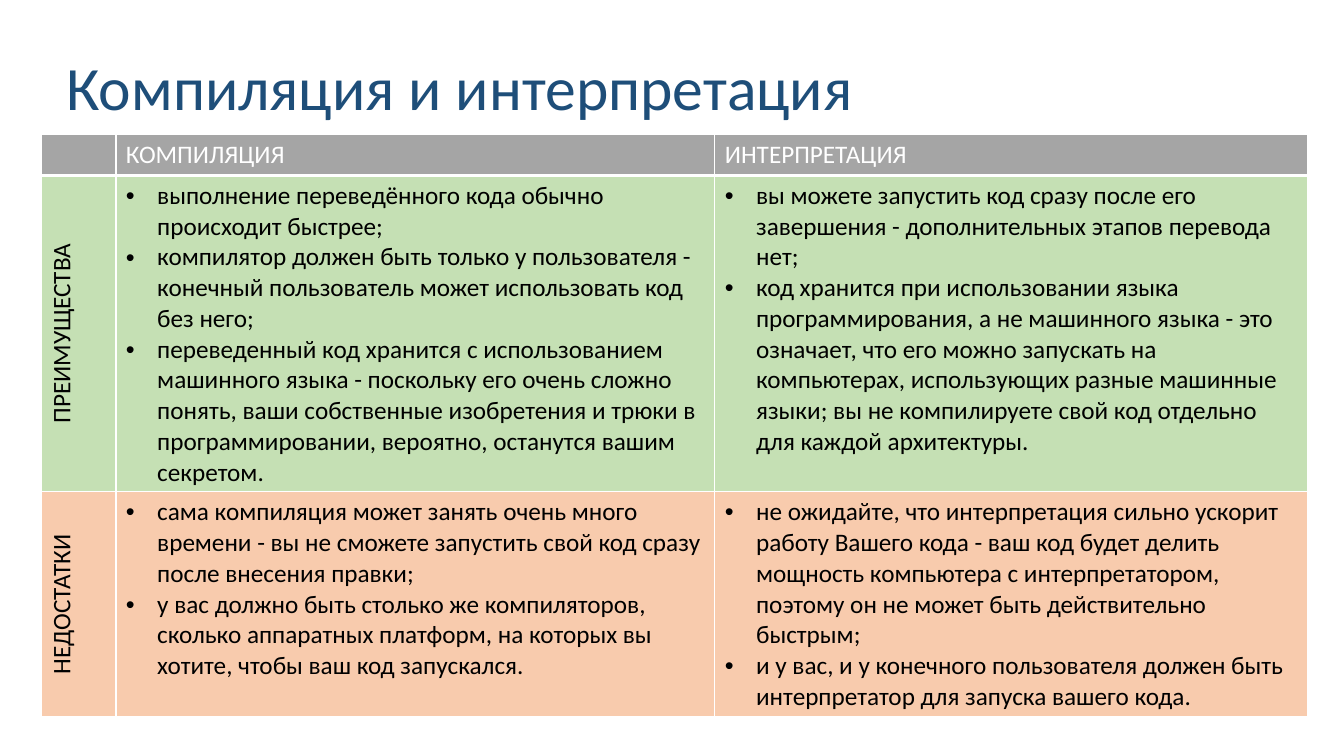
from pptx import Presentation
from pptx.dml.color import RGBColor as RGB
from pptx.enum.text import MSO_ANCHOR as Anchor, PP_ALIGN as Align
from pptx.oxml.ns import qn
from pptx.util import Inches, Pt
from lxml.etree import SubElement as Sub, Element

# Content
TITLE = "Компиляция и интерпретация"
HEADS = ["", "КОМПИЛЯЦИЯ", "ИНТЕРПРЕТАЦИЯ"]
ROWS = [
    ("ПРЕИМУЩЕСТВА", "pros", [
        ["выполнение переведённого кода обычно происходит быстрее;",
         "компилятор должен быть только у пользователя - конечный пользователь "
         "может использовать код без него;",
         "переведенный код хранится с использованием машинного языка - поскольку "
         "его очень сложно понять, ваши собственные изобретения и трюки в "
         "программировании, вероятно, останутся вашим секретом."],
        ["вы можете запустить код сразу после его завершения - дополнительных "
         "этапов перевода нет;",
         "код хранится при использовании языка программирования, а не машинного "
         "языка - это означает, что его можно запускать на компьютерах, "
         "использующих разные машинные языки; вы не компилируете свой код "
         "отдельно для каждой архитектуры."]]),
    ("НЕДОСТАТКИ", "cons", [
        ["сама компиляция может занять очень много времени - вы не сможете "
         "запустить свой код сразу после внесения правки;",
         "у вас должно быть столько же компиляторов, сколько аппаратных платформ, "
         "на которых вы хотите, чтобы ваш код запускался."],
        ["не ожидайте, что интерпретация сильно ускорит работу Вашего кода - ваш "
         "код будет делить мощность компьютера с интерпретатором, поэтому он не "
         "может быть действительно быстрым;",
         "и у вас, и у конечного пользователя должен быть интерпретатор для "
         "запуска вашего кода."]]),
]
COLORS = {"title": "1E4E79", "head": "A5A5A5", "pros": "C5E0B4",
          "cons": "F8CBAD", "white": "FFFFFF", "black": "000000"}
FONT = "Calibri"
COLS = [0.74, 5.94, 5.88]
HIGHS = [0.41, 3.14, 2.23]
INDENT = Inches(0.31)


def write(para, text, size, color):
    run = para.add_run()
    run.text = text
    run.font.name = FONT
    run.font.size = Pt(size)
    run.font.color.rgb = RGB.from_string(COLORS[color])


def bullet(para):
    props = para._p.get_or_add_pPr()
    props.set("marL", str(INDENT))
    props.set("indent", str(-INDENT))
    Sub(props, qn("a:buFont")).set("typeface", "Arial")
    Sub(props, qn("a:buChar")).set("char", "•")


def paint(cell, fill, base=1):
    cell.fill.solid()
    cell.fill.fore_color.rgb = RGB.from_string(COLORS[fill])
    props = cell._tc.get_or_add_tcPr()
    for i, (side, width) in enumerate(zip("LRTB", (1, 1, 1, base))):
        line = Element(qn("a:ln" + side), w=str(Pt(width)))
        solid = Sub(line, qn("a:solidFill"))
        Sub(solid, qn("a:srgbClr")).set("val", COLORS["white"])
        props.insert(i, line)


# Slide
deck = Presentation()
deck.slide_width, deck.slide_height = Inches(13.33), Inches(7.5)
slide = deck.slides.add_slide(deck.slide_layouts[6])

# Title
box = slide.shapes.add_textbox(Inches(0.56), Inches(0.17), Inches(12.24), Inches(1.45))
frame = box.text_frame
frame.word_wrap = True
frame.vertical_anchor = Anchor.MIDDLE
frame.paragraphs[0].line_spacing = 0.9
write(frame.paragraphs[0], TITLE, 44, "title")

# Table
table = slide.shapes.add_table(len(HIGHS), len(COLS), Inches(0.41), Inches(1.33),
                               Inches(sum(COLS)), Inches(sum(HIGHS))).table
table.first_row = table.horz_banding = False
for col, width in zip(table.columns, COLS):
    col.width = Inches(width)
for row, high in zip(table.rows, HIGHS):
    row.height = Inches(high)

# Header row
for c, head in enumerate(HEADS):
    cell = table.cell(0, c)
    paint(cell, "head", 3)
    if head:
        write(cell.text_frame.paragraphs[0], head, 18, "white")

# Body rows: turned label, then bulleted cells
for r, (label, fill, lists) in enumerate(ROWS, 1):
    side = table.cell(r, 0)
    paint(side, fill)
    side.vertical_anchor = Anchor.MIDDLE
    side._tc.get_or_add_tcPr().set("vert", "vert270")
    para = side.text_frame.paragraphs[0]
    para.alignment = Align.CENTER
    write(para, label, 18, "black")
    for c, points in enumerate(lists, 1):
        cell = table.cell(r, c)
        paint(cell, fill)
        for i, point in enumerate(points):
            frame = cell.text_frame
            para = frame.add_paragraph() if i else frame.paragraphs[0]
            bullet(para)
            write(para, point, 18, "black")

deck.save("out.pptx")
